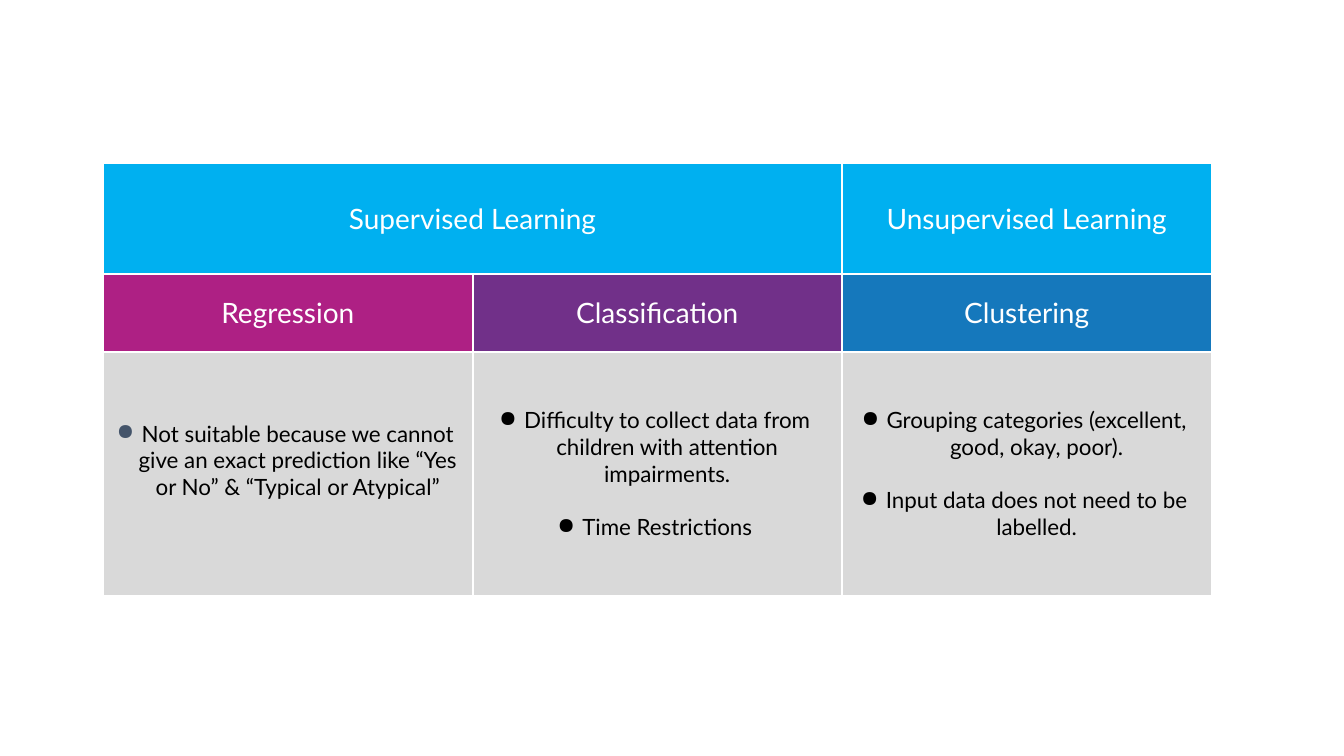
"""Build a slide with a table comparing supervised and unsupervised learning."""
from lxml.etree import SubElement
from pptx import Presentation
from pptx.dml.color import RGBColor
from pptx.enum.text import MSO_ANCHOR, PP_ALIGN
from pptx.oxml import parse_xml
from pptx.oxml.ns import nsdecls, qn
from pptx.util import Cm, Pt


def color(value):
    return RGBColor.from_string(value)


def style_cell(cell, fill, texts, size, font_color, bullet_color=None):
    cell.fill.solid()
    cell.fill.fore_color.rgb = color(fill)
    cell.vertical_anchor = MSO_ANCHOR.MIDDLE
    cell.margin_left = cell.margin_right = Cm(0.25)
    cell.margin_top = cell.margin_bottom = Cm(0.25)
    properties = cell._tc.get_or_add_tcPr()
    for position, side in enumerate(("lnL", "lnR", "lnT", "lnB")):
        properties.insert(position, parse_xml(
            f'<a:{side} {nsdecls("a")} w="{Pt(1.5)}"><a:solidFill>'
            f'<a:srgbClr val="FFFFFF"/></a:solidFill></a:{side}>'))
    for index, text in enumerate(texts):
        frame = cell.text_frame
        paragraph = frame.add_paragraph() if index else frame.paragraphs[0]
        paragraph.alignment = PP_ALIGN.CENTER
        if index:
            paragraph.space_before = Pt(19)
        run = paragraph.add_run()
        run.text = text
        run.font.name = "Lato"
        run.font.size = Pt(size)
        run.font.bold = False
        run.font.color.rgb = color(font_color)
        if bullet_color:
            layout = paragraph._p.get_or_add_pPr()
            layout.set("marL", str(Cm(0.5)))
            layout.set("indent", str(-Cm(0.63)))
            tint = SubElement(layout, qn("a:buClr"))
            SubElement(tint, qn("a:srgbClr"), val=bullet_color)
            SubElement(layout, qn("a:buChar"), char="●")


presentation = Presentation()
presentation.slide_width = Cm(33.87)
presentation.slide_height = Cm(19.05)
slide = presentation.slides.add_slide(presentation.slide_layouts[6])

row_heights = (2.79, 1.96, 6.15)
column_width = 9.31
table = slide.shapes.add_table(
    3, 3, Cm(2.6), Cm(4.11), Cm(3 * column_width), Cm(sum(row_heights))).table
table.first_row = False
table.horz_banding = False
for column in table.columns:
    column.width = Cm(column_width)
for row, height in zip(table.rows, row_heights):
    row.height = Cm(height)

table.cell(0, 0).merge(table.cell(0, 1))
for column, texts in enumerate((["Supervised Learning"], [], ["Unsupervised Learning"])):
    style_cell(table.cell(0, column), "00B0F0", texts, 20, "FFFFFF")

methods = (
    ("Regression", "AE2084", "44546A", [
        "Not suitable because we cannot give an exact prediction like “Yes or No” & “Typical or Atypical”"]),
    ("Classification", "713089", "000000", [
        "Difficulty to collect data from children with attention impairments.",
        "Time Restrictions"]),
    ("Clustering", "1578BC", "000000", [
        "Grouping categories (excellent, good, okay, poor).",
        "Input data does not need to be labelled."]),
)
for column, (method, fill, bullet_color, points) in enumerate(methods):
    style_cell(table.cell(1, column), fill, [method], 20, "FFFFFF")
    style_cell(table.cell(2, column), "D9D9D9", points, 16, "000000", bullet_color)
table.cell(2, 0).margin_bottom = Cm(0.92)

presentation.save("out.pptx")
